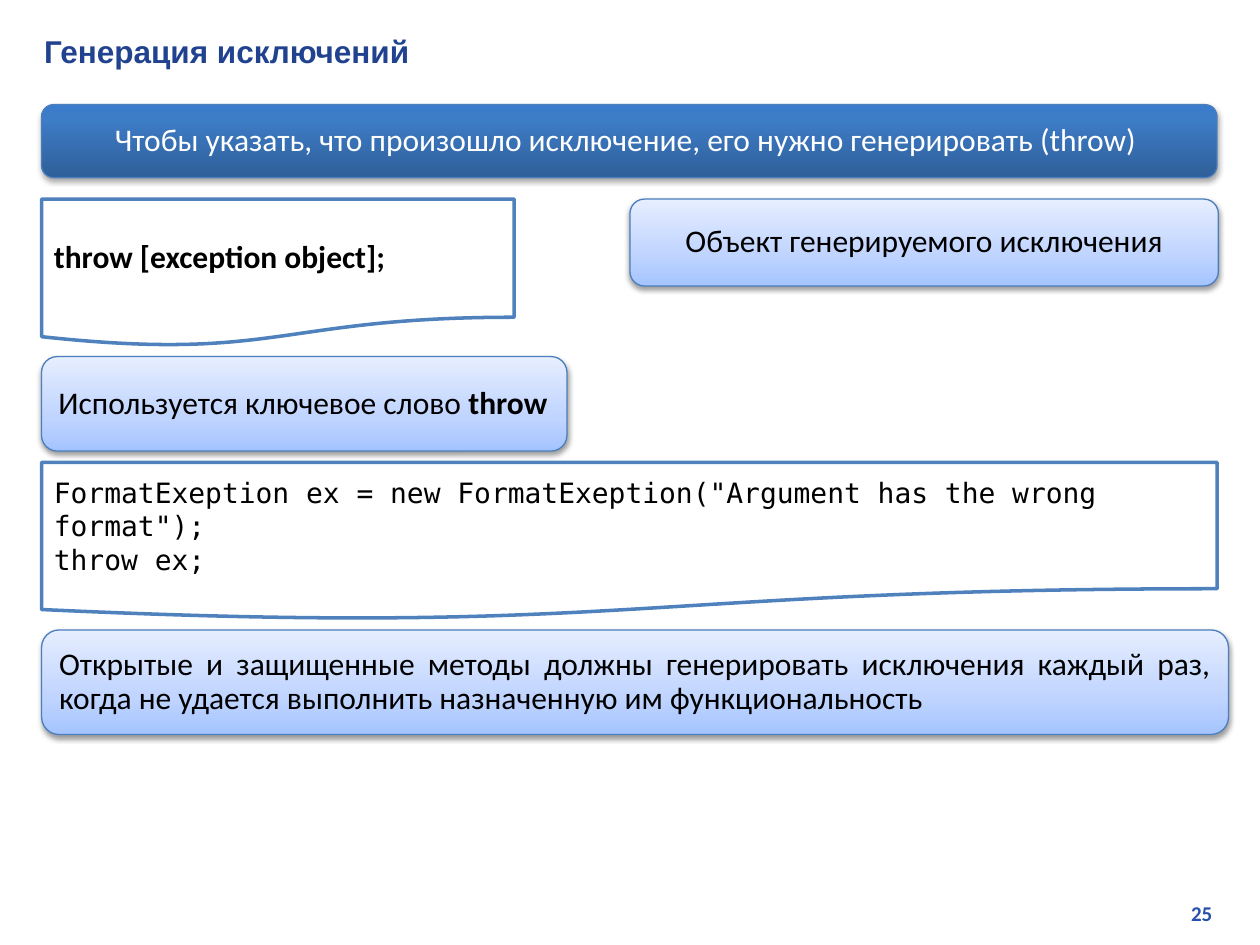
from lxml import etree
from pptx import Presentation
from pptx.dml.color import RGBColor
from pptx.enum.shapes import MSO_SHAPE
from pptx.enum.text import MSO_ANCHOR, PP_ALIGN
from pptx.oxml.ns import qn
from pptx.util import Inches, Pt

ROUND, DOC = MSO_SHAPE.ROUNDED_RECTANGLE, MSO_SHAPE.FLOWCHART_DOCUMENT
LEFT, CENTER = PP_ALIGN.LEFT, PP_ALIGN.CENTER
RIGHT, JUSTIFY = PP_ALIGN.RIGHT, PP_ALIGN.JUSTIFY
MIDDLE = MSO_ANCHOR.MIDDLE

# Content
TITLE = "Генерация исключений"
PAGE = "25"

# Styles: gradient stops run from bottom to top
HEADER = dict(shape=ROUND, stops=[(0, "2F5F99"), (80, "3D7CC7"), (100, "3A7CCB")],
              line=("4B7EBC", 0.75), shadow=(35, 1.8), color="FFFFFF")
NOTE = dict(shape=ROUND, stops=[(0, "A4C4FF"), (35, "BFD4FF"), (100, "E6EEFF")],
            line=("4B7EBC", 0.75), shadow=(38, 1.6), color="000000")
CODE = dict(shape=DOC, stops=None, line=("4F81BD", 2), shadow=None, color="000000")

SANS = ("Calibri", 18, 0.9)
MONO = ("DejaVu Sans Mono", 16, None)

# Style, box (left, top, width, height), alignment, font, paragraphs of (text, bold) runs
BLOCKS = [
    (CODE, (0.33, 1.58, 3.75, 1.17), LEFT, SANS,
     [[("throw [exception object];", True)]]),
    (HEADER, (0.33, 0.83, 9.33, 0.58), CENTER, SANS,
     [[("Чтобы указать, что произошло исключение, его нужно генерировать (throw) ", False)]]),
    (NOTE, (0.33, 2.83, 4.17, 0.75), LEFT, SANS,
     [[("Используется ключевое слово ", False), ("throw", True)]]),
    (NOTE, (5, 1.58, 4.67, 0.69), CENTER, SANS,
     [[("Объект генерируемого исключения", False)]]),
    (CODE, (0.33, 3.67, 9.33, 1.25), LEFT, MONO,
     [[('FormatExeption ex = new FormatExeption("Argument has the wrong format");', False)],
      [("throw ex;", False)]]),
    (NOTE, (0.33, 5, 9.42, 0.83), JUSTIFY, SANS,
     [[("Открытые и защищенные методы должны генерировать исключения каждый раз, "
        "когда не удается выполнить назначенную им функциональность", False)]]),
]


def rgb(value):
    return RGBColor.from_string(value)


def set_font(p, name, size, color, bold=None):
    p.font.name, p.font.size, p.font.bold = name, Pt(size), bold
    p.font.color.rgb = rgb(color)


def add_color(parent, value):
    return etree.SubElement(parent, qn("a:srgbClr"), val=value)


def set_gradient(sp, stops):
    sp.fill.gradient()
    sp.fill.gradient_angle = 90
    gs_list = sp._element.spPr.find(".//" + qn("a:gsLst"))
    for gs in list(gs_list):
        gs_list.remove(gs)
    for position, color in stops:
        add_color(etree.SubElement(gs_list, qn("a:gs"), pos=str(position * 1000)), color)


def add_shadow(sp, opacity, distance):
    effects = sp._element.spPr.find(qn("a:effectLst"))
    shadow = etree.SubElement(effects, qn("a:outerShdw"), blurRad=str(Pt(3.1)),
                              dist=str(Pt(distance)), dir="5400000", rotWithShape="0")
    etree.SubElement(add_color(shadow, "000000"), qn("a:alpha"), val=str(opacity * 1000))


def add_block(slide, style, box, align, font, paragraphs):
    sp = slide.shapes.add_shape(style["shape"], *map(Inches, box))
    if style["stops"]:
        set_gradient(sp, style["stops"])
    else:
        sp.fill.solid()
        sp.fill.fore_color.rgb = rgb("FFFFFF")
    color, width = style["line"]
    sp.line.color.rgb = rgb(color)
    sp.line.width = Pt(width)
    sp.shadow.inherit = False
    if style["shadow"]:
        add_shadow(sp, *style["shadow"])

    tf = sp.text_frame
    tf.word_wrap = True
    tf.vertical_anchor = MIDDLE
    name, size, spacing = font
    for i, runs in enumerate(paragraphs):
        p = tf.add_paragraph() if i else tf.paragraphs[0]
        p.alignment, p.line_spacing = align, spacing
        set_font(p, name, size, style["color"])
        for text, bold in runs:
            r = p.add_run()
            r.text, r.font.bold = text, bold


prs = Presentation()
prs.slide_width, prs.slide_height = Inches(10), Inches(7.5)
slide = prs.slides.add_slide(prs.slide_layouts[5])

# Title
title = slide.shapes.title
title.left, title.top, title.width, title.height = map(Inches, (0.25, 0.2, 9.54, 0.4))
tf = title.text_frame
tf.text = TITLE
tf.vertical_anchor = MIDDLE
tf.paragraphs[0].alignment = LEFT
set_font(tf.paragraphs[0], "Arial", 18, "21438F", True)

# Text blocks
for block in BLOCKS:
    add_block(slide, *block)

# Page number
tf = slide.shapes.add_textbox(*map(Inches, (7.6, 7.1, 2.12, 0.3))).text_frame
tf.word_wrap = True
tf.text = PAGE
tf.paragraphs[0].alignment = RIGHT
set_font(tf.paragraphs[0], "Calibri", 12, "2750AB", True)

prs.save("out.pptx")
